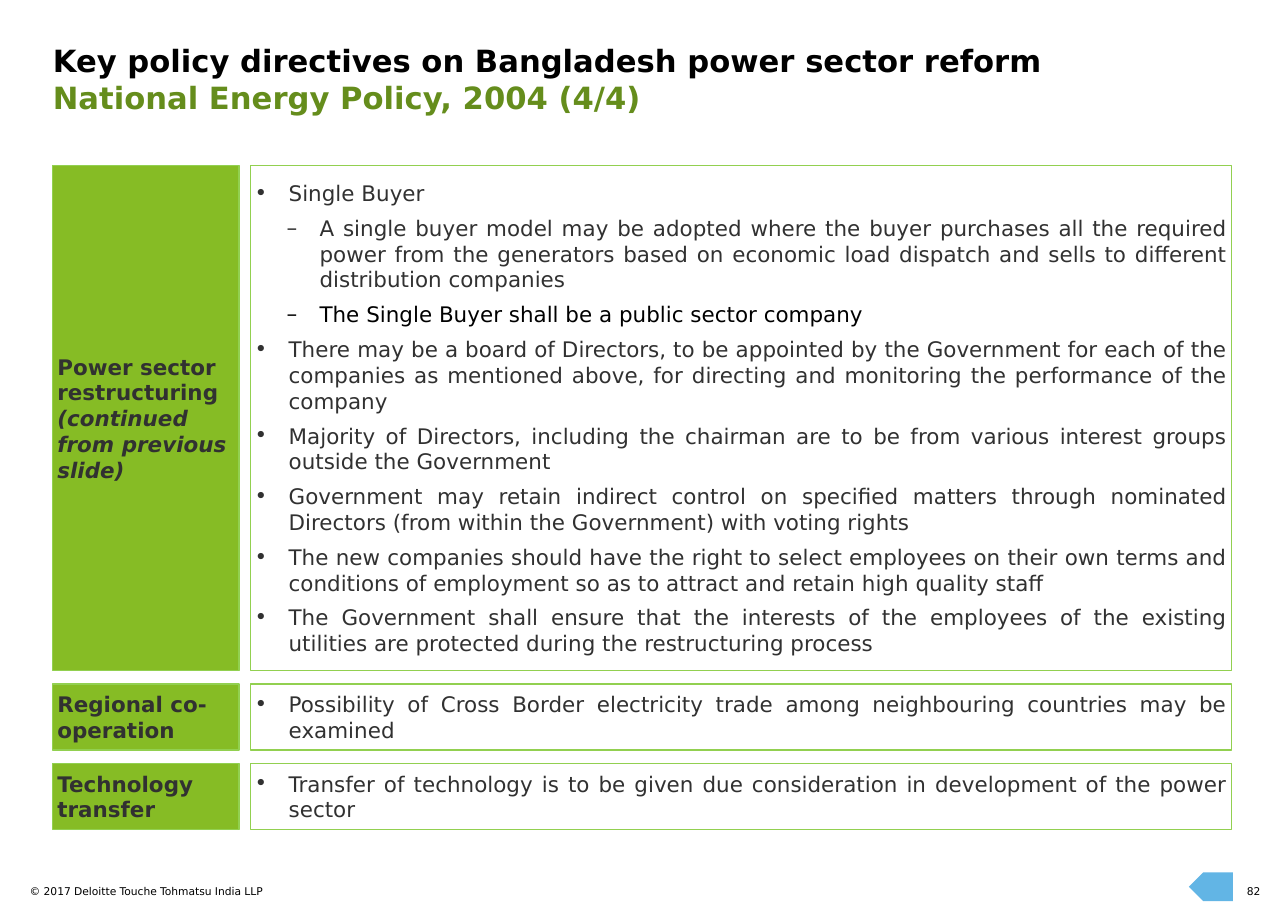
from lxml import etree
from pptx import Presentation
from pptx.dml.color import RGBColor
from pptx.enum import shapes, text
from pptx.oxml.ns import qn
from pptx.util import Inches, Pt

# Content
FONT = "DejaVu Sans"
COLOURS = {"black": "000000", "grey": "313131", "olive": "658D1C",
           "green": "86BC25", "edge": "92D050", "blue": "62B5E5"}
TITLE = [("Key policy directives on Bangladesh power sector reform", "black"),
         ("National Energy Policy, 2004 (4/4)", "olive")]
FOOTER = "© 2017 Deloitte Touche Tohmatsu India LLP"
PAGE = "82"

# Rows: height, label, label note, points as (level, colour, wording)
ROWS = [
    (4.59, "Power sector restructuring ", "(continued from previous slide)", [
        (0, "grey", "Single Buyer"),
        (1, "grey", "A single buyer model may be adopted where the buyer purchases "
                    "all the required power from the generators based on economic load "
                    "dispatch and sells to different distribution companies"),
        (1, "black", "The Single Buyer shall be a public sector company"),
        (0, "grey", "There may be a board of Directors, to be appointed by the "
                    "Government for each of the companies as mentioned above, for "
                    "directing and monitoring the performance of the company"),
        (0, "grey", "Majority of Directors, including the chairman are to be from "
                    "various interest groups outside the Government"),
        (0, "grey", "Government may retain indirect control on specified matters "
                    "through nominated Directors (from within the Government) with "
                    "voting rights"),
        (0, "grey", "The new companies should have the right to select employees on "
                    "their own terms and conditions of employment so as to attract and "
                    "retain high quality staff"),
        (0, "grey", "The Government shall ensure that the interests of the employees "
                    "of the existing utilities are protected during the restructuring "
                    "process"),
    ]),
    (0.6, "Regional co-operation", "", [
        (0, "grey", "Possibility of Cross Border electricity trade among neighbouring "
                    "countries may be examined")]),
    (0.6, "Technology transfer", "", [
        (0, "grey", "Transfer of technology is to be given due consideration in "
                    "development of the power sector")]),
]
BULLETS = [("•", 0.31, -0.31), ("–", 0.59, -0.3)]  # mark, margin, indent

# Layout
LEFT, TOP, GAP = 0.48, 1.5, 0.12
LABEL_W, BODY_X, BODY_W = 1.69, 2.27, 8.91

deck = Presentation()
deck.slide_width, deck.slide_height = Inches(11.69), Inches(8.27)
slide = deck.slides.add_slide(deck.slide_layouts[6])


def rgb(name):
    return RGBColor.from_string(COLOURS[name])


def add_run(para, words, size, colour, bold=False, italic=False):
    run = para.add_run()
    run.text = words
    font = run.font
    font.name, font.size, font.bold, font.italic = FONT, Pt(size), bold, italic
    font.color.rgb = rgb(colour)


def set_frame(frame, side=0):
    frame.word_wrap = True
    frame.margin_left = frame.margin_right = Inches(side)
    frame.margin_top = frame.margin_bottom = 0
    return frame


def add_text(x, y, w, h):
    box = slide.shapes.add_textbox(*map(Inches, (x, y, w, h)))
    return set_frame(box.text_frame).paragraphs[0]


def add_shape(kind, x, y, w, h, fill=None, edge=None):
    shape = slide.shapes.add_shape(kind, *map(Inches, (x, y, w, h)))
    shape.shadow.inherit = False
    if fill:
        shape.fill.solid()
        shape.fill.fore_color.rgb = rgb(fill)
    else:
        shape.fill.background()
    if edge:
        shape.line.color.rgb = rgb(edge)
        shape.line.width = Pt(0.75)
    else:
        shape.line.fill.background()
    return shape


def add_cell(x, y, w, h, fill=None):
    cell = add_shape(shapes.MSO_SHAPE.RECTANGLE, x, y, w, h, fill, "edge")
    frame = set_frame(cell.text_frame, 0.04)
    frame.vertical_anchor = text.MSO_ANCHOR.MIDDLE
    return frame


def set_bullet(para, level):
    mark, margin, indent = BULLETS[level]
    props = para._p.get_or_add_pPr()
    props.set("marL", str(Inches(margin)))
    props.set("indent", str(Inches(indent)))
    etree.SubElement(props, qn("a:buFont")).set("typeface", FONT)
    etree.SubElement(props, qn("a:buChar")).set("char", mark)


# Title
head = add_text(LEFT, 0.38, 10.7, 0.4)
for i, (words, colour) in enumerate(TITLE):
    if i:
        head.add_line_break()
    add_run(head, words, 20, colour, bold=True)

# Policy rows
y = TOP
for height, label, note, points in ROWS:
    para = add_cell(LEFT, y, LABEL_W, height, "green").paragraphs[0]
    para.alignment = text.PP_ALIGN.LEFT
    add_run(para, label, 14, "grey", bold=True)
    if note:
        add_run(para, note, 14, "grey", bold=True, italic=True)

    body = add_cell(BODY_X, y, BODY_W, height)
    for i, (level, colour, words) in enumerate(points):
        para = body.add_paragraph() if i else body.paragraphs[0]
        set_bullet(para, level)
        para.alignment = text.PP_ALIGN.JUSTIFY
        if i:
            para.space_before = Pt(6)
        add_run(para, words, 14, colour)
    y += height + GAP

# Back arrow
arrow = add_shape(shapes.MSO_SHAPE.PENTAGON, 10.79, 7.92, 0.4, 0.26, "blue")
arrow.rotation = 180

# Footer
add_run(add_text(0.27, 8.03, 5.13, 0.24), FOOTER, 7, "black")
page = add_text(11.14, 8.03, 0.3, 0.12)
page.alignment = text.PP_ALIGN.RIGHT
add_run(page, PAGE, 7, "black")

deck.save("out.pptx")
